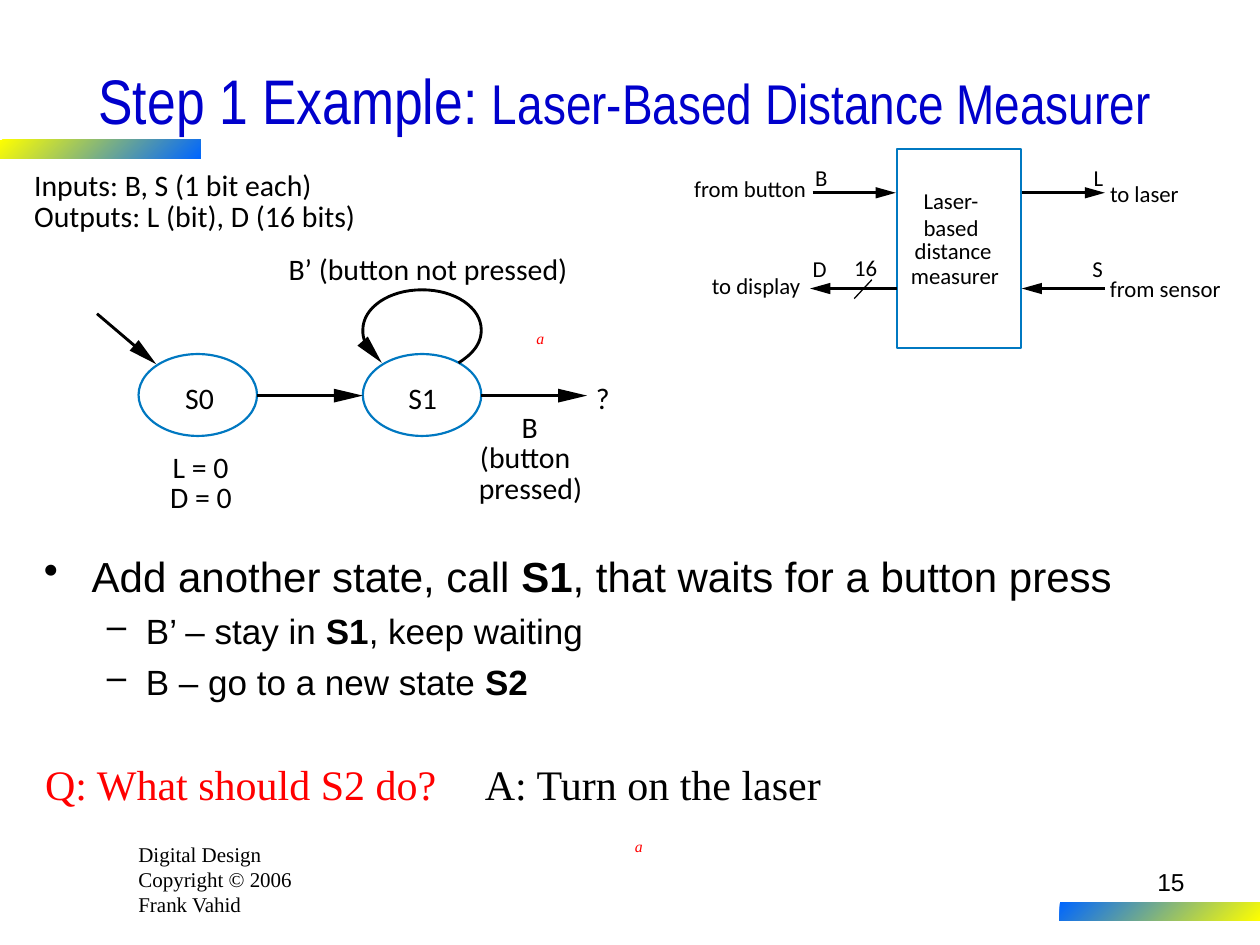
import math

from lxml import etree
from pptx import Presentation
from pptx import util as u
from pptx.dml.color import RGBColor
from pptx.enum import shapes, text
from pptx.oxml.ns import qn

Inches, Pt = u.Inches, u.Pt
rgb = RGBColor.from_string
BLACK, RED, STATE_BLUE = "000000", "FF0000", "0078C1"

prs = Presentation()
prs.slide_width, prs.slide_height = Inches(10), Inches(7.5)
slide = prs.slides.add_slide(prs.slide_layouts[5])


def add_text(left, top, width, height, lines, size, font="Calibri",
             color=BLACK, inset=True, wrap=False):
    """Add a text box with one paragraph per line and return its frame."""
    box = slide.shapes.add_textbox(*map(Inches, (left, top, width, height)))
    frame = box.text_frame
    frame.word_wrap = wrap
    if not inset:
        frame.margin_left = frame.margin_right = 0
        frame.margin_top = frame.margin_bottom = 0
    for i, line in enumerate(lines):
        paragraph = frame.add_paragraph() if i else frame.paragraphs[0]
        run = paragraph.add_run()
        run.text = line
        run.font.size, run.font.name = Pt(size), font
        run.font.color.rgb = rgb(color)
    return frame


def add_line(start, end, weight):
    line = slide.shapes.add_connector(
        shapes.MSO_CONNECTOR.STRAIGHT, *map(Inches, (*start, *end)))
    line.line.width = Pt(weight)
    line.line.color.rgb = rgb(BLACK)
    etree.SubElement(line._element.spPr, qn("a:effectLst"))


# Colour bars and footer
for left, top, colors in [(0, 1.11, ("FFFF00", "0066FF")),
                          (8.41, 7.16, ("0066FF", "FFFF00"))]:
    bar = slide.shapes.add_shape(shapes.MSO_SHAPE.RECTANGLE, Inches(left),
                                 Inches(top), Inches(1.59), Inches(0.15))
    bar.shadow.inherit = False
    bar.line.fill.background()
    bar.fill.gradient()
    bar.fill.gradient_angle = 315
    for stop, color in zip(bar.fill.gradient_stops, colors):
        stop.color.rgb = rgb(color)

add_text(1, 6.63, 1.67, 0.7,
         ["Digital Design", "Copyright © 2006", "Frank Vahid"],
         12, "Times New Roman", wrap=True)
page_number = add_text(7.42, 6.83, 2.08, 0.5, ["15"], 14, "Arial", wrap=True)
page_number.paragraphs[0].alignment = text.PP_ALIGN.RIGHT

# Title
title = slide.shapes.title
title.left, title.top = Inches(0.25), Inches(0.33)
title.width, title.height = Inches(9.42), Inches(0.92)
title.text_frame.auto_size = text.MSO_AUTO_SIZE.NONE
title.text_frame.vertical_anchor = text.MSO_ANCHOR.MIDDLE
heading = title.text_frame.paragraphs[0]
heading.alignment = text.PP_ALIGN.CENTER
for words, size in [("Step 1 Example: ", 36),
                    ("Laser-Based Distance Measurer", 32)]:
    run = heading.add_run()
    run.text = words
    run.font.size, run.font.name = Pt(size), "Arial Narrow"
    run.font.color.rgb = rgb("0000CC")

# Bullets: level, then runs that alternate between plain and bold
bullets = [
    (0, ["Add another state, call ", "S1", ", that waits for a button press"]),
    (1, ["B’ – stay in ", "S1", ", keep waiting"]),
    (1, ["B – go to a new state ", "S2"]),
]
bullet_styles = [("•", 0.38, 0.38, 24), ("–", 0.81, 0.31, 20)]
body = add_text(0.25, 4.32, 9.13, 1.5, [], 24, wrap=True)
for i, (level, parts) in enumerate(bullets):
    mark, indent, hanging, size = bullet_styles[level]
    paragraph = body.add_paragraph() if i else body.paragraphs[0]
    properties = paragraph._p.get_or_add_pPr()
    properties.set("marL", str(Inches(indent)))
    properties.set("indent", str(-Inches(hanging)))
    etree.SubElement(properties, qn("a:buChar"), char=mark)
    paragraph.level = level
    if i:
        paragraph.space_before = Pt(5)
    for j, words in enumerate(parts):
        run = paragraph.add_run()
        run.text = words
        run.font.size, run.font.name = Pt(size), "Arial"
        run.font.bold = j % 2 == 1
        run.font.color.rgb = rgb(BLACK)

# Question, answer and animation marks
for left, top, width, height, words, size, color in [
    (0.26, 5.97, 3.31, 0.5, "Q: What should S2 do?", 24, RED),
    (3.75, 5.97, 2.88, 0.5, "A: Turn on the laser", 24, BLACK),
    (4.94, 6.59, 0.26, 0.25, "a", 9, RED),
    (4.16, 2.56, 0.26, 0.25, "a", 9, RED),
]:
    frame = add_text(left, top, width, height, [words], size,
                     "Times New Roman", color)
    frame.paragraphs[0].runs[0].font.italic = words == "a"

# States and the measurer block
for kind, left, top, width, height, weight in [
    (shapes.MSO_SHAPE.OVAL, 1.1, 2.81, 0.94, 0.65, 1.25),
    (shapes.MSO_SHAPE.OVAL, 2.88, 2.81, 0.94, 0.65, 1.25),
    (shapes.MSO_SHAPE.RECTANGLE, 7.12, 1.18, 0.98, 1.58, 1.13),
]:
    outline = slide.shapes.add_shape(
        kind, *map(Inches, (left, top, width, height)))
    outline.shadow.inherit = False
    outline.fill.background()
    outline.line.color.rgb = rgb(STATE_BLUE)
    outline.line.width = Pt(weight)

# Self-loop on S1, as sampled Bezier curves
loop_points = [(2.92, 2.75)]
for controls in [
    [(2.89, 2.71), (2.88, 2.67), (2.88, 2.62)],
    [(2.88, 2.44), (3.09, 2.3), (3.35, 2.3)],
    [(3.61, 2.3), (3.82, 2.44), (3.82, 2.62)],
    [(3.82, 2.73), (3.75, 2.81), (3.64, 2.88)],
]:
    curve = [loop_points[-1], *controls]
    for step in range(1, 17):
        t = step / 16
        weights = [math.comb(3, k) * t**k * (1 - t)**(3 - k) for k in range(4)]
        loop_points.append(tuple(sum(w * point[axis] for w, point in zip(weights, curve))
                                 for axis in (0, 1)))
loop_emu = [(Inches(x), Inches(y)) for x, y in loop_points]
builder = slide.shapes.build_freeform(*loop_emu[0])
builder.add_line_segments(loop_emu[1:], close=False)
self_loop = builder.convert_to_shape()
self_loop.shadow.inherit = False
self_loop.fill.background()
self_loop.line.color.rgb = rgb(BLACK)
self_loop.line.width = Pt(1.63)

# Arrows: tail, tip, shaft weight (0 for a head alone), head length and width
STATE_HEAD, SIGNAL_HEAD = (0.23, 0.11), (0.16, 0.09)
for tail, tip, weight, (length, breadth) in [
    ((0.77, 2.49), (1.24, 2.89), 1.63, STATE_HEAD),
    ((2.04, 3.14), (2.88, 3.14), 1.63, STATE_HEAD),
    ((3.82, 3.14), (4.66, 3.14), 1.63, STATE_HEAD),
    ((2.88, 2.71), (3.03, 2.88), 0, STATE_HEAD),
    ((6.45, 1.53), (7.11, 1.53), 1.5, SIGNAL_HEAD),
    ((8.11, 1.53), (8.77, 1.53), 1.5, SIGNAL_HEAD),
    ((8.77, 2.29), (8.11, 2.29), 1.5, SIGNAL_HEAD),
    ((7.12, 2.29), (6.43, 2.29), 2.25, SIGNAL_HEAD),
]:
    distance = math.dist(tail, tip)
    dx, dy = (tip[0] - tail[0]) / distance, (tip[1] - tail[1]) / distance
    if weight:
        add_line(tail, (tip[0] - 0.83 * length * dx, tip[1] - 0.83 * length * dy), weight)
    base_x, base_y = tip[0] - length * dx, tip[1] - length * dy
    corners = [(Inches(base_x - side * dy), Inches(base_y + side * dx))
               for side in (breadth / 2, -breadth / 2)]
    builder = slide.shapes.build_freeform(*map(Inches, tip))
    builder.add_line_segments(corners, close=True)
    head = builder.convert_to_shape()
    head.shadow.inherit = False
    head.fill.solid()
    head.fill.fore_color.rgb = rgb(BLACK)
    head.line.fill.background()

add_line((6.92, 2.22), (6.78, 2.37), 0.75)

# Diagram labels by text size and height
for size, height, labels in [
    (17, 0.28, [
        (0.27, 1.32, 2.48, "Inputs: B, S (1 bit each)"),
        (0.27, 1.57, 2.79, "Outputs: L (bit), D (16 bits)"),
        (1.47, 3.01, 0.25, "S0"), (3.24, 3.01, 0.29, "S1"),
        (1.37, 3.56, 0.51, "L = 0"), (1.35, 3.8, 0.54, "D = 0"),
        (4.73, 3.01, 0.13, "?"), (2.29, 1.99, 2.4, "B’ (button not pressed)"),
        (4.14, 3.24, 0.16, "B"), (3.81, 3.48, 0.74, "(button"),
        (3.8, 3.73, 0.92, "pressed)")]),
    (13, 0.22, [
        (7.33, 1.48, 0.51, "Laser-\nbased"), (7.26, 1.88, 0.67, "distance"),
        (7.23, 2.08, 0.77, "measurer"), (6.78, 2.01, 0.2, "16"),
        (5.51, 1.39, 0.92, "from button"), (5.65, 2.16, 0.76, "to display"),
        (6.47, 1.3, 0.12, "B"), (6.45, 2.02, 0.13, "D"),
        (8.68, 1.3, 0.1, "L"), (8.67, 2.02, 0.12, "S"),
        (8.81, 1.43, 0.59, "to laser"), (8.81, 2.18, 0.96, "from sensor")]),
]:
    for left, top, width, words in labels:
        lines = words.split("\n")
        add_text(left, top, width, height * len(lines), lines, size, inset=False)

prs.save("out.pptx")
